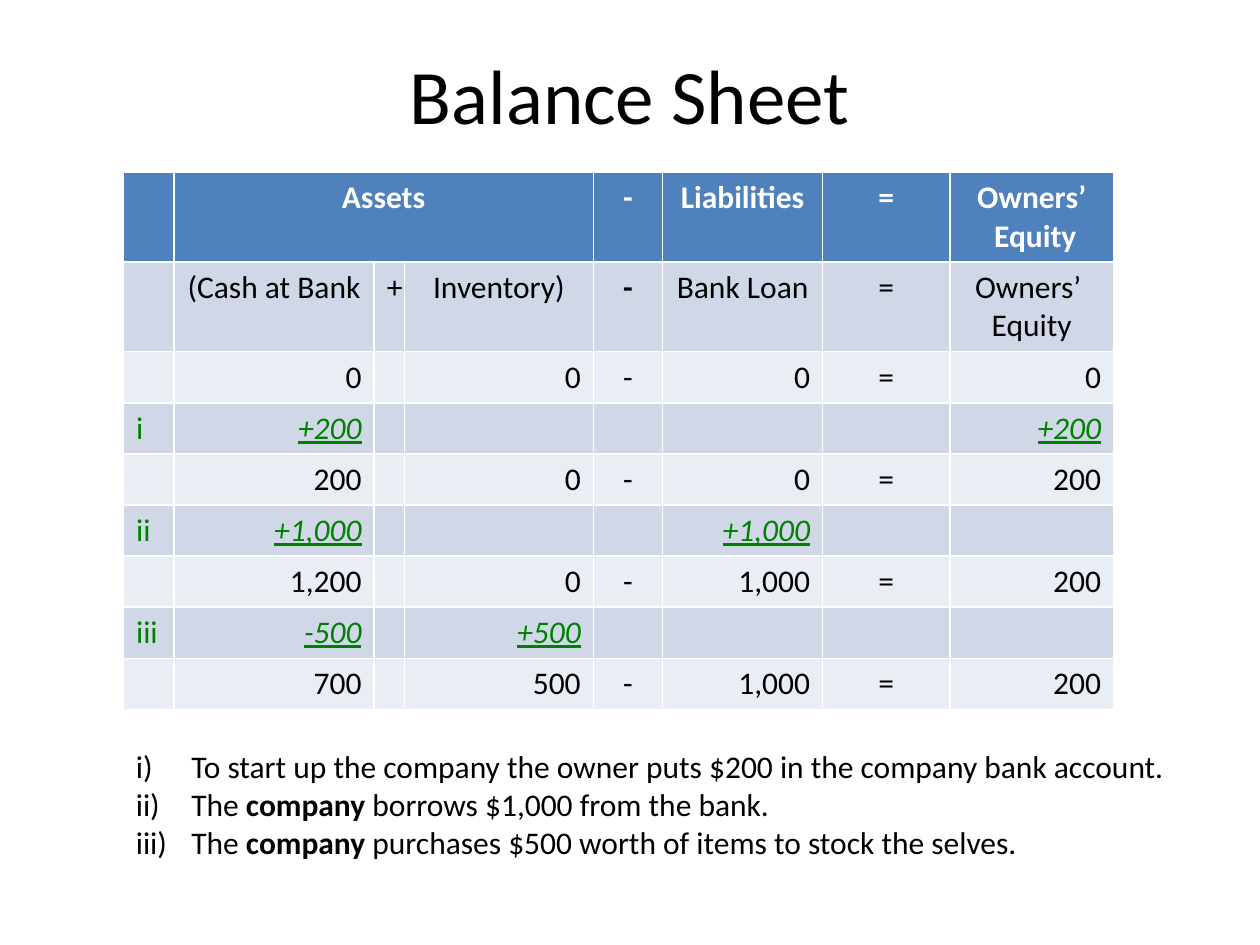
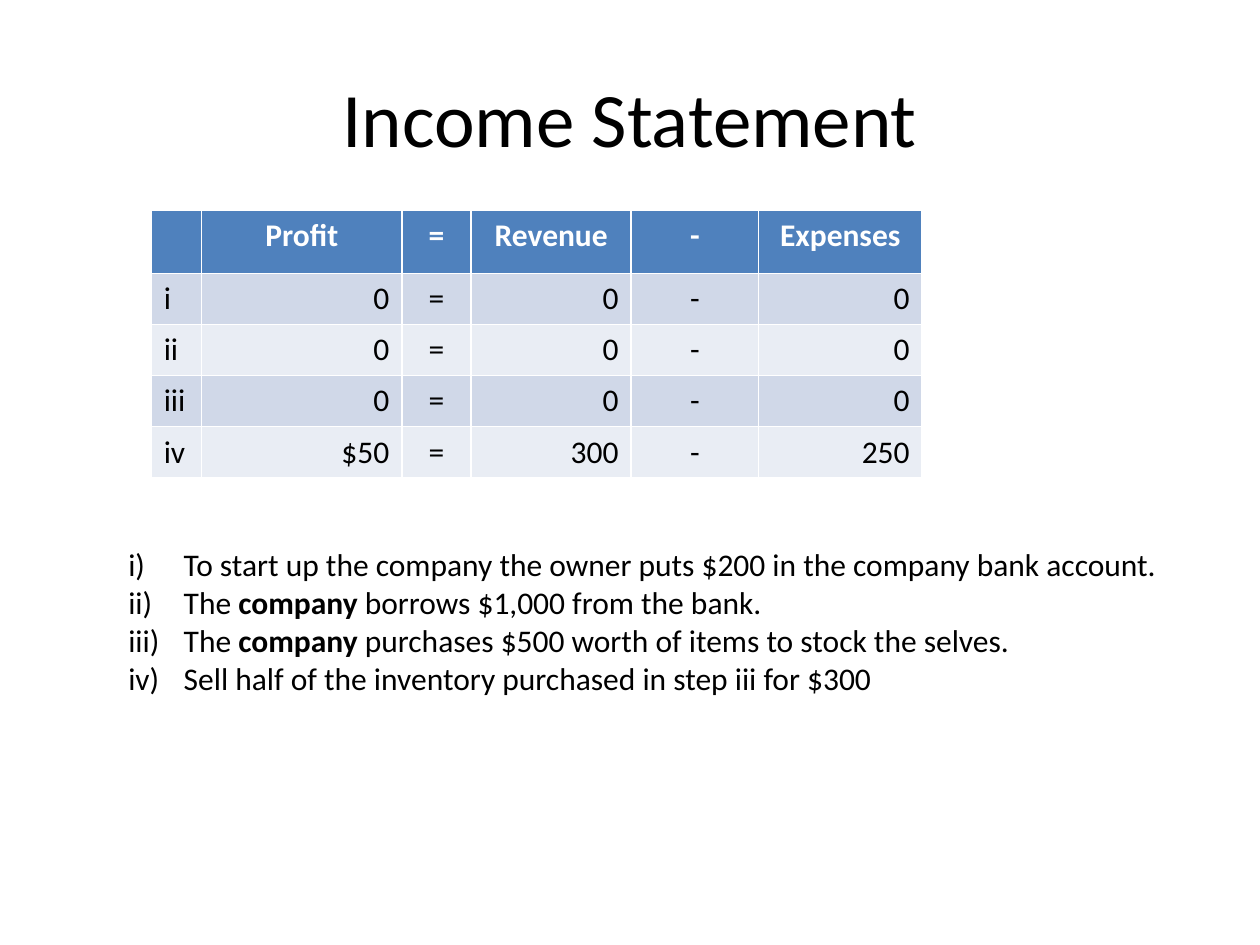
from dataclasses import dataclass

from lxml import etree
from pptx import Presentation
from pptx.dml.color import RGBColor
from pptx.enum.text import MSO_ANCHOR, MSO_AUTO_SIZE, PP_ALIGN
from pptx.oxml.ns import qn
from pptx.util import Inches, Pt

LEFT, CENTER, RIGHT = PP_ALIGN.LEFT, PP_ALIGN.CENTER, PP_ALIGN.RIGHT
MIDDLE = MSO_ANCHOR.MIDDLE
FIT_SHAPE = MSO_AUTO_SIZE.SHAPE_TO_FIT_TEXT

# Shared look
FONT = "Calibri"
TITLE_SIZE, BODY_SIZE = 44, 18
BLACK, WHITE, GREEN = "000000", "FFFFFF", "008000"
HEADER_FILL, DARK_BAND, LIGHT_BAND = "4F81BD", "D0D8E8", "E9EDF4"
OPERATORS = ("+", "-", "=")
ROW_HEIGHT = 0.4
LIST_INDENT = 0.44
TITLE_ONLY = 5

# Transactions: each step is a list of (text, bold) spans
STEPS = [
    [("To start up the company the owner puts $200 in the company bank account.", False)],
    [("The ", False), ("company", True), (" borrows $1,000 from the bank.", False)],
    [("The ", False), ("company", True),
     (" purchases $500 worth of items to stock the selves.", False)],
    [("Sell half of the inventory purchased in step iii for $300", False)],
]


@dataclass
class Statement:
    title: str
    title_top: float
    table_at: tuple[float, float]
    column_widths: list[float]
    heading_heights: list[float]
    rows: list[list[str]]
    steps_at: tuple[float, float]
    steps_height: float
    step_count: int
    merged_heading: tuple[int, int] | None = None
    bold_cells: tuple[tuple[int, int], ...] = ()
    entries_in_green: bool = False


BALANCE_SHEET = Statement(
    title="Balance Sheet",
    title_top=0.12,
    table_at=(0.98, 1.37),
    column_widths=[0.4, 1.59, 0.23, 1.5, 0.55, 1.27, 1.01, 1.3],
    heading_heights=[0.7, 0.7],
    rows=[
        ["", "Assets", "", "", "-", "Liabilities", "=", "Owners’\n Equity"],
        ["", "(Cash at Bank", "+", "Inventory)", "-", "Bank Loan", "=", "Owners’ \nEquity"],
        ["", "0", "", "0", "-", "0", "=", "0"],
        ["i", "+200", "", "", "", "", "", "+200"],
        ["", "200", "", "0", "-", "0", "=", "200"],
        ["ii", "+1,000", "", "", "", "+1,000", "", ""],
        ["", "1,200", "", "0", "-", "1,000", "=", "200"],
        ["iii", "-500", "", "+500", "", "", "", ""],
        ["", "700", "", "500", "-", "1,000", "=", "200"],
    ],
    steps_at=(0.98, 5.88),
    steps_height=1.01,
    step_count=3,
    merged_heading=(1, 3),
    bold_cells=((1, 4),),
    entries_in_green=True,
)

INCOME_STATEMENT = Statement(
    title="Income Statement",
    title_top=0.3,
    table_at=(1.2, 1.67),
    column_widths=[0.4, 1.59, 0.55, 1.27, 1.01, 1.3],
    heading_heights=[0.5],
    rows=[
        ["", "Profit", "=", "Revenue", "-", "Expenses"],
        ["i", "0", "=", "0", "-", "0"],
        ["ii", "0", "=", "0", "-", "0"],
        ["iii", "0", "=", "0", "-", "0"],
        ["iv", "$50", "=", "300", "-", "250"],
    ],
    steps_at=(0.92, 4.28),
    steps_height=1.31,
    step_count=4,
)


def rgb(color: str) -> RGBColor:
    return RGBColor.from_string(color)


def set_font(font, size: int, color: str, bold: bool | None = False) -> None:
    font.name = FONT
    font.size = Pt(size)
    font.color.rgb = rgb(color)
    font.bold = bold


def add_title(slide, text: str, top: float) -> None:
    title = slide.shapes.title
    title.left, title.top = Inches(0.5), Inches(top)
    title.width, title.height = Inches(9), Inches(1.25)
    title.text_frame.text = text
    title.text_frame.vertical_anchor = MIDDLE
    para = title.text_frame.paragraphs[0]
    para.alignment = CENTER
    set_font(para.font, TITLE_SIZE, BLACK)


def fill_cell(cell, statement: Statement, row: int, column: int) -> None:
    """Write one cell; its place decides fill, alignment and font."""
    text = statement.rows[row][column]
    is_header = row == 0
    is_heading = row < len(statement.heading_heights)
    is_entry = statement.entries_in_green and statement.rows[row][0] != ""

    band = DARK_BAND if row % 2 else LIGHT_BAND
    cell.fill.solid()
    cell.fill.fore_color.rgb = rgb(HEADER_FILL if is_header else band)
    if not text:
        return

    if is_heading or text in OPERATORS:
        alignment = CENTER
    else:
        alignment = RIGHT if column else LEFT
    color = WHITE if is_header else GREEN if is_entry else BLACK
    bold = is_header or (row, column) in statement.bold_cells

    cell.text = text
    for para in cell.text_frame.paragraphs:
        para.alignment = alignment
        set_font(para.font, BODY_SIZE, color, bold)
        if is_entry and column:
            para.font.italic = para.font.underline = True


def add_statement_table(slide, statement: Statement) -> None:
    # The default table style supplies the white cell borders
    row_count, column_count = len(statement.rows), len(statement.column_widths)
    body_count = row_count - len(statement.heading_heights)
    heights = statement.heading_heights + [ROW_HEIGHT] * body_count
    left, top = statement.table_at
    frame = slide.shapes.add_table(
        row_count, column_count, Inches(left), Inches(top),
        Inches(sum(statement.column_widths)), Inches(sum(heights)))
    table = frame.table
    for column, width in zip(table.columns, statement.column_widths):
        column.width = Inches(width)
    for row, height in zip(table.rows, heights):
        row.height = Inches(height)
    if statement.merged_heading:
        first, last = statement.merged_heading
        table.cell(0, first).merge(table.cell(0, last))
    for row in range(row_count):
        for column in range(column_count):
            fill_cell(table.cell(row, column), statement, row, column)


def number_paragraph(para) -> None:
    """Give a paragraph a hanging i), ii), iii) number."""
    properties = para._p.get_or_add_pPr()
    properties.set("marL", str(Inches(LIST_INDENT)))
    properties.set("indent", str(-Inches(LIST_INDENT)))
    numbering = etree.Element(qn("a:buAutoNum"), type="romanLcParenR")
    properties.insert(0, numbering)


def add_steps(slide, statement: Statement) -> None:
    left, top = statement.steps_at
    box = slide.shapes.add_textbox(
        Inches(left), Inches(top), Inches(8.46), Inches(statement.steps_height))
    frame = box.text_frame
    frame.word_wrap = False
    frame.auto_size = FIT_SHAPE
    for index, step in enumerate(STEPS[:statement.step_count]):
        para = frame.add_paragraph() if index else frame.paragraphs[0]
        set_font(para.font, BODY_SIZE, BLACK, None)
        number_paragraph(para)
        for text, bold in step:
            span = para.add_run()
            span.text = text
            span.font.bold = bold


def build_deck() -> None:
    deck = Presentation()
    deck.slide_width, deck.slide_height = Inches(10), Inches(7.5)
    for statement in (BALANCE_SHEET, INCOME_STATEMENT):
        slide = deck.slides.add_slide(deck.slide_layouts[TITLE_ONLY])
        add_title(slide, statement.title, statement.title_top)
        add_statement_table(slide, statement)
        add_steps(slide, statement)
    deck.save("out.pptx")


build_deck()
